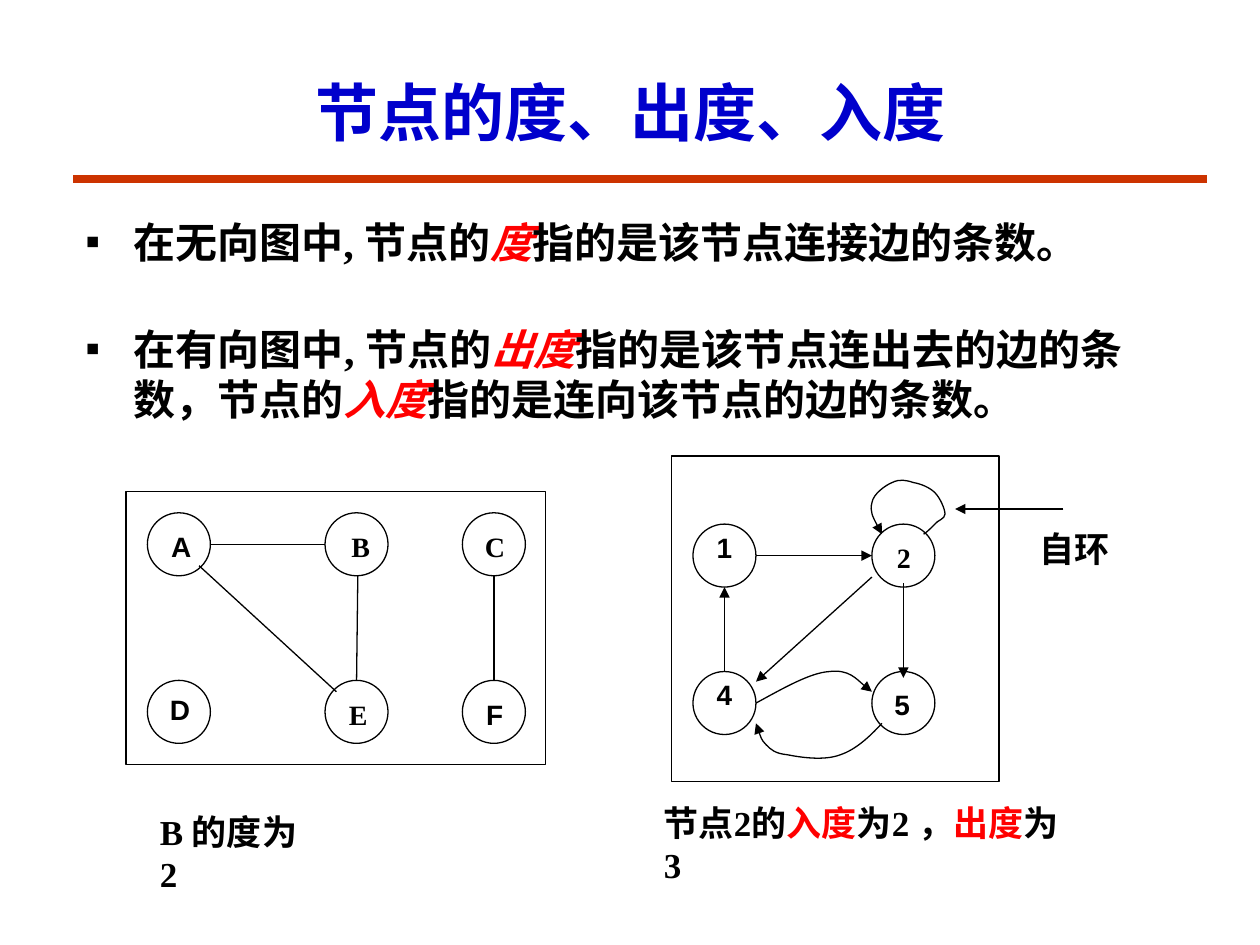
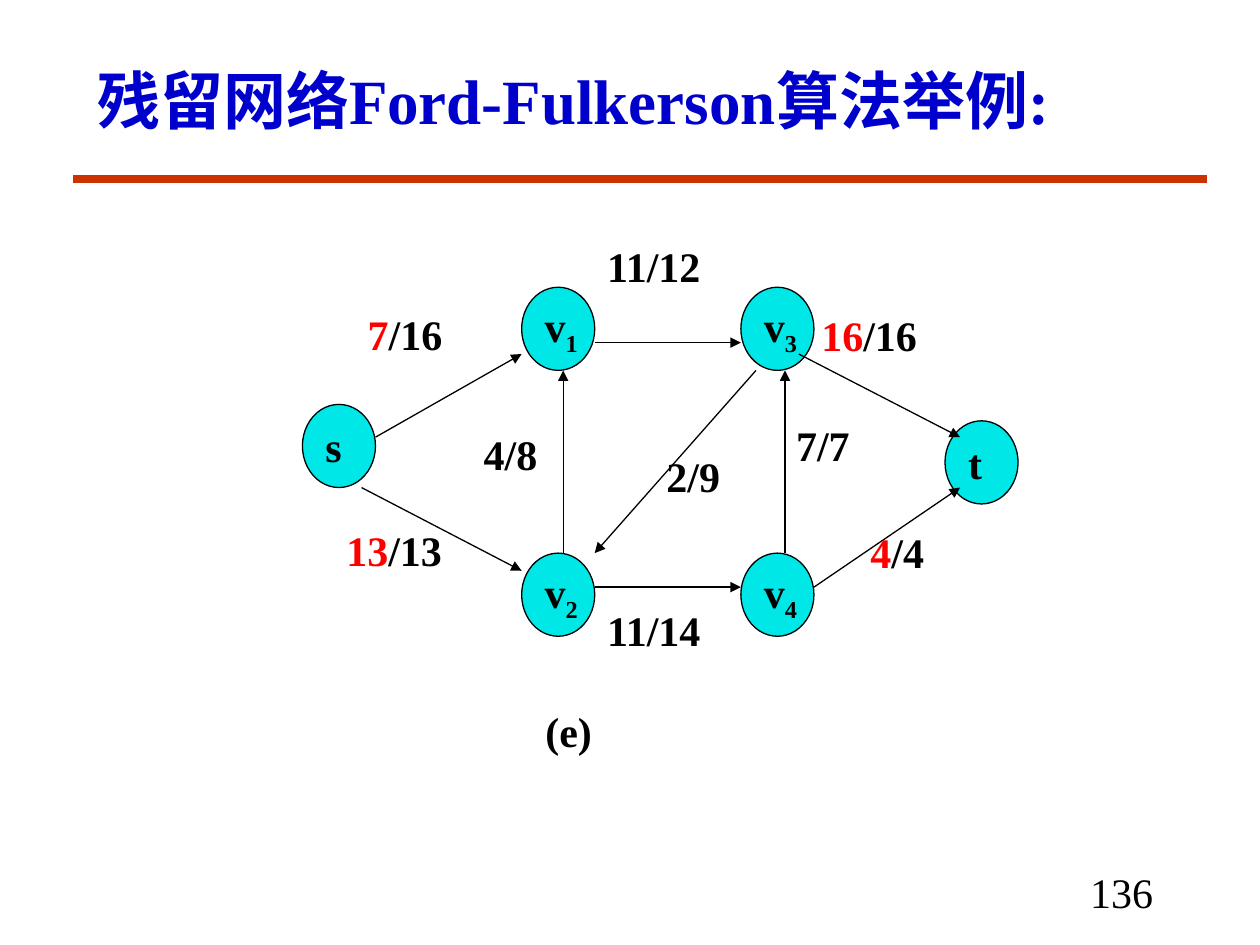
from dataclasses import dataclass
from lxml.etree import SubElement
from pptx import Presentation
from pptx.dml.color import RGBColor
from pptx.enum.shapes import MSO_CONNECTOR, MSO_SHAPE
from pptx.enum.text import MSO_ANCHOR, MSO_AUTO_SIZE, PP_ALIGN
from pptx.oxml.ns import qn
from pptx.util import Inches, Pt


@dataclass(frozen=True)
class Theme:
    ink: RGBColor = RGBColor(0, 0, 0)
    title: RGBColor = RGBColor(0x00, 0x00, 0xCC)
    accent: RGBColor = RGBColor(0xFF, 0x00, 0x00)
    rule: RGBColor = RGBColor(0xCC, 0x33, 0x00)
    node: RGBColor = RGBColor(0x00, 0xE7, 0xE7)
    serif: str = "Times New Roman"
    sans: str = "Arial"
    title_size: int = 36
    body_size: int = 24
    caption_size: int = 20
    letter_size: int = 16
    rule_width: float = 4.5
    line_width: float = 0.75


class Deck:
    def __init__(self, theme):
        self.theme = theme
        self.prs = Presentation()
        self.prs.slide_width, self.prs.slide_height = Inches(10), Inches(7.5)

    def slide(self, title, box, align, anchor):
        t = self.theme
        self.s = self.prs.slides.add_slide(self.prs.slide_layouts[5])
        sp = self.s.shapes.title
        sp.left, sp.top, sp.width, sp.height = map(Inches, box)
        tf = sp.text_frame
        tf.auto_size, tf.word_wrap = MSO_AUTO_SIZE.NONE, True
        tf.vertical_anchor = anchor
        p = tf.paragraphs[0]
        p.alignment = align
        self.run(p, title, t.title_size, t.title)
        self.line((0.58, 1.42), (9.58, 1.42), None, t.rule, t.rule_width)

    def run(self, p, text, size, color=None, bold=True, font=None):
        r = p.add_run()
        r.text = text
        f = r.font
        f.name, f.size, f.bold = font or self.theme.serif, Pt(size), bold
        f.color.rgb = color or self.theme.ink
        return r

    def text(self, box, text, size, align=PP_ALIGN.LEFT, italic=False, bold=True, font=None):
        sp = self.s.shapes.add_textbox(*map(Inches, box))
        tf = sp.text_frame
        tf.word_wrap = True
        p = tf.paragraphs[0]
        p.alignment = align
        for i, part in enumerate(text.split("|")):
            if part:
                marked = i % 2 == 1
                r = self.run(p, part, size, self.theme.accent if marked else None, bold, font)
                r.font.italic = italic and marked
        return sp

    def bullet(self, box, text):
        sp = self.text(box, text, self.theme.body_size, PP_ALIGN.JUSTIFY, italic=True)
        tf = sp.text_frame
        tf.vertical_anchor = MSO_ANCHOR.MIDDLE
        pPr = tf.paragraphs[0]._p.get_or_add_pPr()
        pPr.set("marL", str(Inches(0.38)))
        pPr.set("indent", str(-Inches(0.38)))
        SubElement(pPr, qn("a:buFont")).set("typeface", self.theme.sans)
        SubElement(pPr, qn("a:buChar")).set("char", "▪")

    def shape(self, kind, box, fill=None):
        sp = self.s.shapes.add_shape(kind, *map(Inches, box))
        sp.shadow.inherit = False
        if fill:
            sp.fill.solid()
            sp.fill.fore_color.rgb = fill
        else:
            sp.fill.background()
        self.stroke(sp)
        return sp

    def stroke(self, sp, arrow=None, color=None, width=None):
        sp.line.color.rgb = color or self.theme.ink
        sp.line.width = Pt(width or self.theme.line_width)
        if arrow:
            SubElement(sp.line._get_or_add_ln(), qn(f"a:{arrow}")).set("type", "triangle")

    def frame(self, box):
        self.shape(MSO_SHAPE.RECTANGLE, box)

    def circle(self, x, y):
        self.shape(MSO_SHAPE.OVAL, (x, y, 0.5, 0.5))

    def letter(self, x, y, text, font=None):
        self.text((x, y, 0.4, 0.37), text, self.theme.letter_size, font=font)

    def vertex(self, x, y, name, sub=""):
        t = self.theme
        tf = self.shape(MSO_SHAPE.OVAL, (x, y, 0.58, 0.66), t.node).text_frame
        tf.word_wrap, tf.vertical_anchor = False, MSO_ANCHOR.MIDDLE
        p = tf.paragraphs[0]
        p.alignment = PP_ALIGN.LEFT
        self.run(p, name, t.body_size)
        if sub:
            r = self.run(p, sub, t.body_size)
            r._r.get_or_add_rPr().set("baseline", "-25000")

    def line(self, start, end, arrow=None, color=None, width=None):
        sp = self.s.shapes.add_connector(
            MSO_CONNECTOR.STRAIGHT, *map(Inches, (*start, *end)))
        self.stroke(sp, arrow, color, width)
        SubElement(sp._element.spPr, qn("a:effectLst"))

    def arrow(self, start, end):
        self.line(start, end, "tailEnd")

    def curve(self, start, curves, arrow="tailEnd"):
        fb = self.s.shapes.build_freeform(*map(Inches, start))
        fb.add_line_segments([tuple(map(Inches, end)) for _, _, end in curves], close=False)
        sp = fb.convert_to_shape()
        for segment, controls in zip(list(sp._element.iter(qn("a:lnTo"))), curves):
            segment.tag = qn("a:cubicBezTo")
            for i, (x, y) in enumerate(controls[:2]):
                pt = segment.makeelement(qn("a:pt"))
                pt.set("x", str(Inches(x) - sp.left))
                pt.set("y", str(Inches(y) - sp.top))
                segment.insert(i, pt)
        sp.shadow.inherit = False
        sp.fill.background()
        self.stroke(sp, arrow)


def undirected_graph(deck):
    sans = deck.theme.sans
    deck.frame((1, 3.9, 3.33, 2.17))
    for x in (1.17, 2.58, 3.67):
        for y in (4.07, 5.4):
            deck.circle(x, y)
    for x, y, name, font in (
            (1.26, 4.15, "A", sans), (2.69, 4.15, "B", None), (3.75, 4.15, "C", None),
            (1.25, 5.45, "D", sans), (2.67, 5.49, "E", None), (3.76, 5.49, "F", sans)):
        deck.letter(x, y, name, font)
    for start, end in (
            ((1.58, 4.49), (2.67, 5.49)), ((1.67, 4.32), (2.58, 4.32)),
            ((2.83, 5.4), (2.84, 4.57)), ((3.92, 5.4), (3.92, 4.57))):
        deck.line(start, end)
    deck.text((1.17, 6.38, 1.4, 0.75), "B 的度为2", deck.theme.caption_size)


def directed_graph(deck):
    t = deck.theme
    deck.frame((5.33, 3.62, 2.6, 2.58))
    for x in (5.5, 6.92):
        for y in (4.16, 5.33):
            deck.circle(x, y)
    for x, y, name, font in (
            (5.59, 4.16, "1", t.sans), (7.02, 4.24, "2", None),
            (5.59, 5.33, "4", t.sans), (7, 5.41, "5", t.sans)):
        deck.letter(x, y, name, font)
    for start, end in (
            ((5.75, 5.33), (5.75, 4.66)), ((6, 4.41), (6.92, 4.41)),
            ((6.92, 4.58), (6, 5.41)), ((7.17, 4.63), (7.17, 5.38)),
            ((8.44, 4.04), (7.58, 4.04))):
        deck.arrow(start, end)
    deck.curve((7, 4.24), (
        ((6.95, 4.15), (6.9, 4.06), (6.92, 3.99)),
        ((6.93, 3.92), (7.03, 3.85), (7.08, 3.83)),
        ((7.14, 3.8), (7.19, 3.81), (7.25, 3.83)),
        ((7.31, 3.84), (7.38, 3.87), (7.42, 3.91)),
        ((7.46, 3.95), (7.5, 4.04), (7.5, 4.08)),
        ((7.5, 4.12), (7.44, 4.13), (7.42, 4.16)),
        ((7.39, 4.19), (7.35, 4.23), (7.33, 4.24))), "headEnd")
    deck.curve((6, 5.58), (
        ((6.22, 5.46), (6.43, 5.34), (6.58, 5.33)),
        ((6.74, 5.31), (6.86, 5.45), (6.92, 5.49))))
    deck.curve((7, 5.74), (
        ((6.9, 5.85), (6.79, 5.95), (6.67, 5.99)),
        ((6.54, 6.04), (6.35, 6.01), (6.25, 5.99)),
        ((6.15, 5.98), (6.12, 5.95), (6.08, 5.91)),
        ((6.04, 5.87), (6.01, 5.77), (6, 5.74))))
    deck.text((8.15, 4.14, 0.77, 0.44), "自环", t.caption_size)
    deck.text((5.17, 6.31, 3.45, 0.75), "节点2的|入度|为2 ，|出度|为3", t.caption_size)


def degree_slide(deck):
    deck.slide("节点的度、出度、入度", (0.5, 0.42, 9, 0.92),
               PP_ALIGN.CENTER, MSO_ANCHOR.MIDDLE)
    deck.bullet((0.58, 1.5, 9.08, 0.83),
                "在无向图中, 节点的|度|指的是该节点连接边的条数。")
    deck.bullet((0.58, 2.35, 8.43, 1.23),
                "在有向图中, 节点的|出度|指的是该节点连出去的边的条数，"
                "节点的|入度|指的是连向该节点的边的条数。")
    undirected_graph(deck)
    directed_graph(deck)


def flow_slide(deck):
    size = deck.theme.body_size
    deck.slide("残留网络Ford-Fulkerson算法举例:", (0.67, 0.44, 8.3, 0.75),
               PP_ALIGN.LEFT, MSO_ANCHOR.TOP)
    deck.vertex(2.4, 3.21, "s")
    deck.vertex(7.5, 3.34, "t")
    for x, subs in ((4.14, "12"), (5.88, "34")):
        for y, sub in zip((2.28, 4.39), subs):
            deck.vertex(x, y, "v", sub)
    for start, end in (
            ((2.98, 3.47), (4.14, 2.81)), ((4.72, 2.72), (5.88, 2.72)),
            ((6.34, 2.81), (7.62, 3.47)), ((2.87, 3.87), (4.14, 4.53)),
            ((4.72, 4.66), (5.88, 4.66)), ((6.46, 4.66), (7.62, 3.87)),
            ((4.47, 4.39), (4.47, 2.94)), ((6.23, 4.39), (6.23, 2.94)),
            ((6, 2.94), (4.72, 4.39))):
        deck.arrow(start, end)
    for x, y, width, flow in (
            (2.82, 2.4, 1, "|7|/16"), (2.65, 4.11, 1.22, "|13|/13"),
            (4.72, 1.86, 1.21, "11/12"), (3.74, 3.35, 0.8, "4/8"),
            (5.19, 3.53, 0.81, "2/9"), (6.22, 3.28, 0.8, "7/7"),
            (6.42, 2.41, 1.22, "|16|/16"), (6.81, 4.13, 0.79, "|4|/4"),
            (4.72, 4.75, 1.21, "11/14")):
        deck.text((x, y, width, 0.65), flow, size)
    deck.text((4.23, 5.55, 0.6, 0.5), "(e)", size)
    deck.text((7.17, 6.83, 2.08, 0.5), "136", size, PP_ALIGN.RIGHT, bold=False)


def main():
    deck = Deck(Theme())
    degree_slide(deck)
    flow_slide(deck)
    deck.prs.save("out.pptx")


if __name__ == "__main__":
    main()
